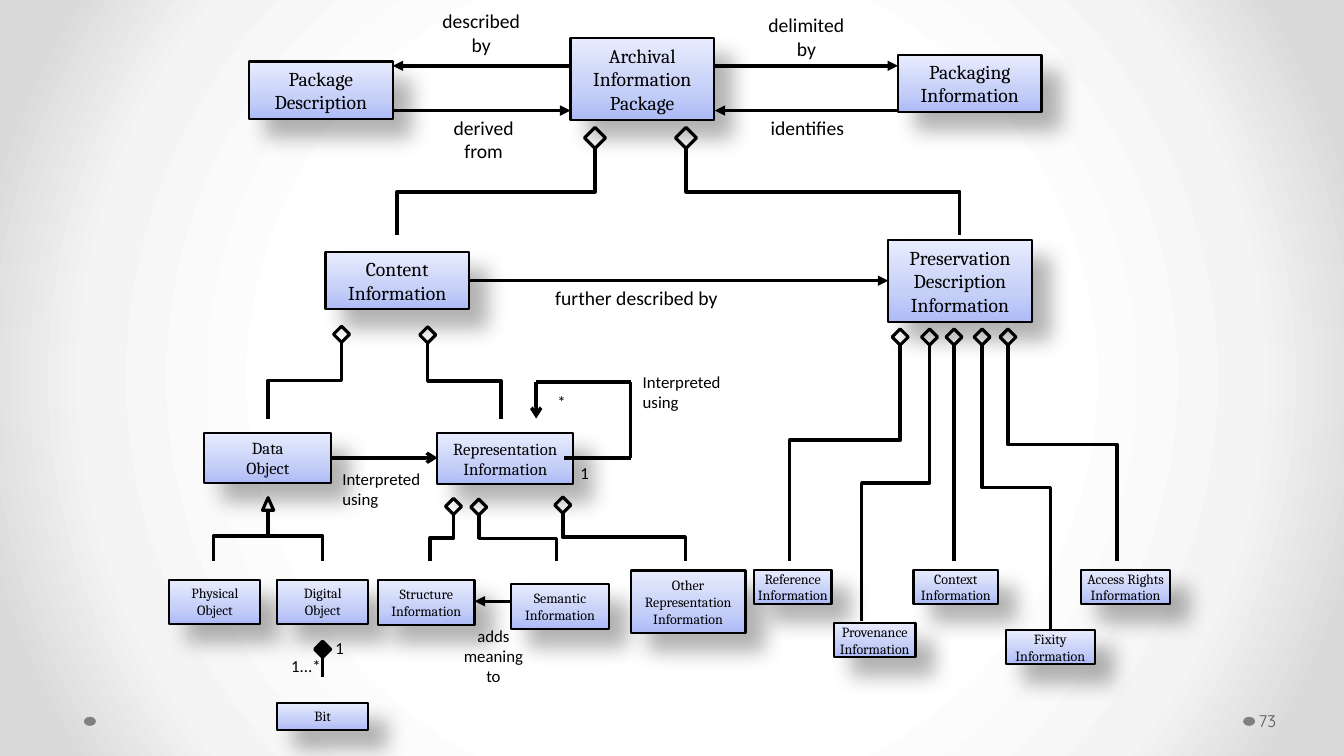
from lxml import etree
from pptx import Presentation
from pptx.dml.color import RGBColor
from pptx.enum.shapes import MSO_CONNECTOR, MSO_SHAPE
from pptx.enum.text import MSO_ANCHOR, MSO_AUTO_SIZE, PP_ALIGN
from pptx.oxml.ns import qn
from pptx.util import Pt

BLACK = RGBColor(0, 0, 0)
DOT_GRAY = RGBColor(0x80, 0x80, 0x80)
NUMBER_GRAY = RGBColor(0x59, 0x59, 0x59)
CARD_STOPS = ((0, RGBColor(0xAD, 0xBB, 0xF6)), (35, RGBColor(0xC5, 0xCF, 0xF8)),
              (100, RGBColor(0xE8, 0xEC, 0xFD)))
PAGE_STOPS = ((50, RGBColor(0xFF, 0xFF, 0xFF)), (76, RGBColor(0xF4, 0xF4, 0xF4)),
              (92, RGBColor(0xDA, 0xDA, 0xDA)))
STRAIGHT, ELBOW = MSO_CONNECTOR.STRAIGHT, MSO_CONNECTOR.ELBOW
RECTANGLE, DIAMOND = MSO_SHAPE.RECTANGLE, MSO_SHAPE.DIAMOND
TRIANGLE, OVAL = MSO_SHAPE.ISOSCELES_TRIANGLE, MSO_SHAPE.OVAL
LEFT, CENTER = PP_ALIGN.LEFT, PP_ALIGN.CENTER
TOP, MIDDLE = MSO_ANCHOR.TOP, MSO_ANCHOR.MIDDLE
GROW = MSO_AUTO_SIZE.SHAPE_TO_FIT_TEXT
SMALL = 11.5


def node(parent, tag, **attributes):
    """Append a DrawingML element and return it."""
    return etree.SubElement(parent, qn(tag), {k: str(v) for k, v in attributes.items()})


def set_gradient(fill, holder, stops):
    """Give the fill a gradient with the listed stops and return its element."""
    fill.gradient()
    gradient = holder.find(qn("a:gradFill"))
    for child in list(gradient):
        gradient.remove(child)
    stop_list = node(gradient, "a:gsLst")
    for position, color in stops:
        stop = node(stop_list, "a:gs", pos=position * 1000)
        node(stop, "a:srgbClr", val=color)
    return gradient


def write(frame, text, size, font="Calibri", color=BLACK, align=CENTER, anchor=TOP, inset=None):
    """Write each line of text as a paragraph with one run."""
    frame.word_wrap = True
    frame.auto_size = GROW
    frame.vertical_anchor = anchor
    if inset is not None:
        frame.margin_left = frame.margin_right = Pt(inset)
        frame.margin_top = frame.margin_bottom = Pt(inset)
    for index, line in enumerate(text.split("\n")):
        paragraph = frame.add_paragraph() if index else frame.paragraphs[0]
        paragraph.alignment = align
        run = paragraph.add_run()
        run.text = line
        run.font.size, run.font.name, run.font.color.rgb = Pt(size), font, color


def card(slide, x, y, width, height, text, size, inset=None):
    """Draw a shaded entity box with its name."""
    entity = slide.shapes.add_shape(RECTANGLE, Pt(x), Pt(y), Pt(width), Pt(height))
    properties = entity._element.spPr
    gradient = set_gradient(entity.fill, properties, CARD_STOPS)
    node(gradient, "a:lin", ang=270 * 60000, scaled=0)
    entity.line.color.rgb, entity.line.width = BLACK, Pt(1.5)
    entity.shadow.inherit = False
    shadow = node(properties.find(qn("a:effectLst")), "a:outerShdw", blurRad=Pt(15),
                  dist=Pt(18), dir=45 * 60000, algn="tl", rotWithShape=0)
    node(node(shadow, "a:srgbClr", val=BLACK), "a:alpha", val=30000)
    write(entity.text_frame, text, size, "Cambria", anchor=MIDDLE, inset=inset)


def caption(slide, x, y, width, height, text, size=12, align=LEFT, **style):
    """Place a free label."""
    label = slide.shapes.add_textbox(Pt(x), Pt(y), Pt(width), Pt(height))
    write(label.text_frame, text, size, align=align, **style)


def symbol(slide, kind, x, y, width, height, filled=False):
    """Draw a relation end mark centred on x."""
    mark = slide.shapes.add_shape(kind, Pt(x - width / 2), Pt(y), Pt(width), Pt(height))
    mark.shadow.inherit = False
    mark.fill.background()
    if filled:
        mark.fill.solid()
        mark.fill.fore_color.rgb = BLACK
    mark.line.color.rgb, mark.line.width = BLACK, Pt(2.25)


def link(slide, x1, y1, x2, y2, head=None, kind=STRAIGHT):
    """Draw a connector, with an arrowhead at its end if one is named."""
    line = slide.shapes.add_connector(kind, Pt(x1), Pt(y1), Pt(x2), Pt(y2))
    line.line.color.rgb, line.line.width = BLACK, Pt(2.5)
    node(line._element.spPr, "a:effectLst")
    if head:
        node(line.line._get_or_add_ln(), "a:tailEnd", type=head)
    return line


def branch(slide, x1, y1, x2, y2, bend=0.5):
    """Draw a line that runs down, sideways at the bend, and down again."""
    if x1 == x2:
        link(slide, x1, y1, x2, y2)
        return
    center_x, center_y = (x1 + x2) / 2, (y1 + y2) / 2
    rightward = x2 > x1
    half_length = (y2 - y1) / 2 * (-1 if rightward else 1)
    half_span = abs(x2 - x1) / 2
    elbow = link(slide, center_x - half_length, center_y - half_span,
                 center_x + half_length, center_y + half_span, kind=ELBOW)
    properties = elbow._element.spPr
    properties.find(qn("a:xfrm")).set("rot", str((270 if rightward else 90) * 60000))
    guides = properties.find(qn("a:prstGeom")).find(qn("a:avLst"))
    node(guides, "a:gd", name="adj1", fmla=f"val {round(bend * 100000)}")


def aggregate(slide, x, y, end_x, end_y, side=SMALL, bend=0.5):
    """Draw a hollow diamond and the branch that leaves it."""
    symbol(slide, DIAMOND, x, y, side, side)
    branch(slide, x, y + side, end_x, end_y, bend)


def package_row(slide, x, y):
    """Draw the package entities and their relations."""
    upper, lower = y + 20, y + 52
    card(slide, x, y + 17, 102.5, 41, "Package Description", 14)
    card(slide, x + 229.5, y, 102.5, 58.5, "Archival Information Package", 14)
    card(slide, x + 463.5, y + 12, 102.5, 41, "Packaging Information", 14)
    for start, end, height in ((229.5, 102.5, upper), (102.5, 229.5, lower),
                               (332.5, 463.5, upper), (463.5, 332.5, lower)):
        link(slide, x + start, height, x + end, height, "triangle")
    for left, top, width, height, text in ((102, -24, 127.5, 41, "described\nby"),
                                           (105.5, 52, 124, 41, "derived\nfrom"),
                                           (332.5, -21, 131, 41, "delimited\nby"),
                                           (332.5, 52, 132.5, 24.5, "identifies")):
        caption(slide, x + left, y + top, width, height, text, 14, CENTER)


def information_row(slide, x, y):
    """Draw the two kinds of information in a package."""
    aggregate(slide, x + 192.5, y, x + 51, y + 77, 15)
    aggregate(slide, x + 257.5, y, x + 453, y + 77, 15)
    card(slide, x, y + 89, 102.5, 41, "Content Information", 14)
    card(slide, x + 402, y + 80.5, 102.5, 58.5, "Preservation Description\nInformation", 14)
    link(slide, x + 102.5, y + 109.5, x + 402, y + 109.5, "triangle")
    caption(slide, x + 157, y + 110, 181, 24.5, "further described by", 14)


def content_tree(slide, x, y):
    """Draw the parts of content information and the self-reference loop."""
    aggregate(slide, x + 123, y, x + 70.5, y + 66)
    aggregate(slide, x + 184.5, y + 0.5, x + 237, y + 66)
    card(slide, x + 25, y + 76, 90.5, 36, "Data\nObject", 12)
    card(slide, x + 191.5, y + 76.5, 97, 36, "Representation\nInformation", 12)
    link(slide, x + 115.5, y + 94, x + 191.5, y + 94, "arrow")
    loop = ((282, 94), (329.5, 94), (329.5, 40), (262, 40), (262, 66))
    heads = (None, None, None, "arrow")
    for (x1, y1), (x2, y2), head in zip(loop, loop[1:], heads):
        link(slide, x + x1, y + y1, x + x2, y + y2, head)
    caption(slide, x + 116.5, y + 98, 91, 36, "Interpreted using")
    caption(slide, x + 331, y + 29, 91, 36, "Interpreted using")
    caption(slide, x + 286.5, y + 94, 25, 21.5, "1")
    caption(slide, x + 270, y + 43.5, 25, 21.5, "*")


def object_tree(slide, x, y):
    """Draw the kinds of object and of representation information."""
    symbol(slide, TRIANGLE, x + 70.5, y + 0.5, 8, 9)
    for end in (31.5, 109.5):
        branch(slide, x + 70.5, y + 10, x + end, y + 46)
    for start, top, end in ((203, 1, 186), (221, 1.5, 276.5), (281, 0, 368.5)):
        aggregate(slide, x + start, y + top, x + end, y + 46)
    for left, top, width, height, text in ((0, 59, 65, 31.5, "Physical Object"),
                                           (77, 59, 65, 31.5, "Digital Object"),
                                           (149, 59.5, 69, 32, "Structure Information"),
                                           (244, 62, 70, 32, "Semantic Information"),
                                           (329.5, 52.5, 82, 44.5, "Other Representation Information"),
                                           (77, 147, 65, 19.5, "Bit")):
        card(slide, x + left, y + top, width, height, text, 10)
    link(slide, x + 244, y + 74.5, x + 218, y + 74.5, "triangle")
    caption(slide, x + 201, y + 88.5, 61, 51, "adds meaning to", align=CENTER)
    symbol(slide, DIAMOND, x + 109.5, y + 103, SMALL, SMALL, True)
    link(slide, x + 109.5, y + 114.5, x + 109.5, y + 128.5)
    caption(slide, x + 111.5, y + 97, 25, 21.5, "1")
    caption(slide, x + 87, y + 113.5, 34.5, 14.5, "1...*", inset=0)


def preservation_tree(slide, x, y):
    """Draw the five parts of preservation description information."""
    for start, end, drop, bend, left, top, width, kind in (
            (105, 26, 166, 0.44, 0.5, 172, 55.5, "Reference"),
            (126, 77.5, 208.5, 0.5, 57.5, 210, 58.5, "Provenance"),
            (143.5, 143.5, 166, 0.5, 114.5, 172, 60.5, "Context"),
            (163.5, 212.5, 215, 0.5, 180.5, 215, 63.5, "Fixity"),
            (182, 260, 166, 0.46, 234, 172, 64, "Access Rights")):
        aggregate(slide, x + start, y, x + end, y + drop, bend=bend)
        card(slide, x + left, y + top, width, 24.5, f"{kind} Information", 10, 0)


def page_frame(slide):
    """Set the background, the footer dots and the page number."""
    background = slide.background.fill
    holder = slide._element.cSld.find(qn("p:bg")).find(qn("p:bgPr"))
    gradient = set_gradient(background, holder, PAGE_STOPS)
    glow = node(gradient, "a:path", path="circle")
    node(glow, "a:fillToRect", l=50000, t=50000, r=50000, b=50000)
    for left in (60, 888):
        dot = slide.shapes.add_shape(OVAL, Pt(left), Pt(512), Pt(8.5), Pt(6.5))
        dot.shadow.inherit = False
        dot.fill.solid()
        dot.fill.fore_color.rgb = DOT_GRAY
        dot.line.fill.background()
    caption(slide, 897, 500.5, 59, 28.5, "73", font="Quicksand", color=NUMBER_GRAY,
            anchor=MIDDLE, inset=2)


def main():
    """Build the deck and save it."""
    deck = Presentation()
    deck.slide_width, deck.slide_height = Pt(960), Pt(540)
    slide = deck.slides.add_slide(deck.slide_layouts[6])
    page_frame(slide)
    package_row(slide, 178, 27)
    information_row(slide, 232.5, 91)
    content_tree(slide, 121, 233)
    object_tree(slide, 121, 355)
    preservation_tree(slide, 538, 235)
    deck.save("out.pptx")


if __name__ == "__main__":
    main()
